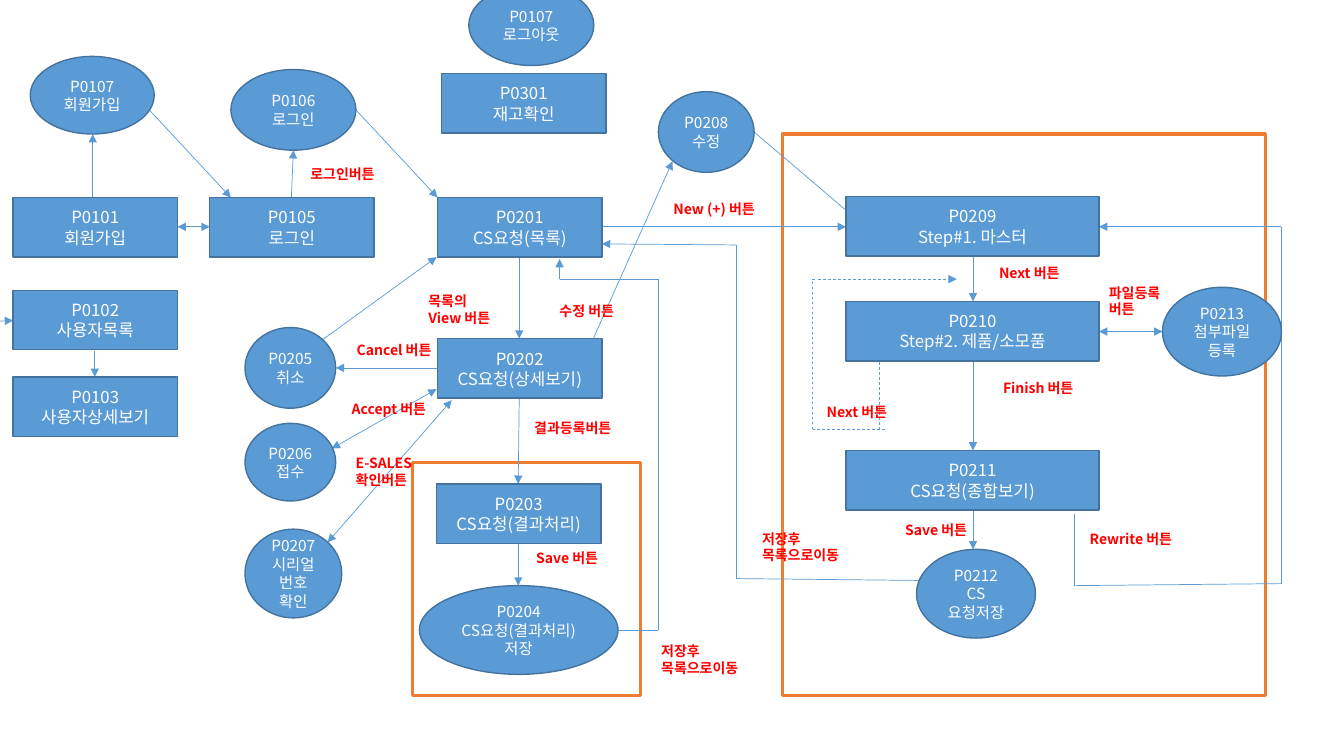
from pptx import Presentation
from pptx.dml.color import RGBColor
from pptx.enum.dml import MSO_LINE as Dash
from pptx.enum.shapes import MSO_CONNECTOR as Link, MSO_SHAPE as Kind
from pptx.enum.text import MSO_ANCHOR as Anchor, MSO_AUTO_SIZE as Auto, PP_ALIGN as Align
from pptx.oxml.ns import qn
from pptx.util import Inches, Pt
from lxml.etree import SubElement as Sub

BLUE = RGBColor(0x5B, 0x9B, 0xD5)
NAVY = RGBColor(0x43, 0x73, 0x9E)
AMBER = RGBColor(0xED, 0x7D, 0x31)
RED = RGBColor(0xFF, 0x00, 0x00)
WHITE = RGBColor(0xFF, 0xFF, 0xFF)
FONT = "Noto Sans CJK KR"

# All lengths count cells of a grid, ten cells to the inch.
CELL = Inches(0.1)
TALL = 5.9     # height of a page box
SLIM = 16.3    # width of a list page box
WIDE = 25.1    # width of a step page box
FORM = 83.9    # left edge of the step pages
MID = 96.5     # axis of the step pages

FRAMES = [(77.6, 13.3, 47.9, 55.7), (40.9, 45.9, 22.6, 23.1)]

# left, top, width, text
PAGES = [
    (1.3, 19.6, SLIM, "P0101\n회원가입"),
    (1.3, 28.8, SLIM, "P0102\n사용자목록"),
    (1.3, 37.4, SLIM, "P0103\n사용자상세보기"),
    (20.8, 19.6, SLIM, "P0105\n로그인"),
    (43.8, 7.3, SLIM, "P0301\n재고확인"),
    (43.4, 19.6, SLIM, "P0201\nCS요청(목록)"),
    (43.4, 33.6, SLIM, "P0202\nCS요청(상세보기)"),
    (43.3, 48, SLIM, "P0203\nCS요청(결과처리)"),
    (FORM, 19.5, WIDE, "P0209\nStep#1. 마스터"),
    (FORM, 29.9, WIDE, "P0210\nStep#2. 제품/소모품"),
    (FORM, 44.7, WIDE, "P0211\nCS요청(종합보기)"),
]

# left, top, width, height, text
ACTS = [
    (3, 5.6, 12.3, 7.7, "P0107\n회원가입"),
    (22.9, 6.9, 12.4, 8, "P0106\n로그인"),
    (46.5, -1.5, 12.4, 8, "P0107\n로그아웃"),
    (65.3, 9.1, 9.5, 8, "P0208\n수정"),
    (24.3, 32.5, 9, 8, "P0205\n취소"),
    (24.3, 42, 9, 7.7, "P0206\n접수"),
    (24.3, 52.5, 9.6, 8.8, "P0207\n시리얼번호\n확인"),
    (41.6, 58.1, 19.7, 8.8, "P0204\nCS요청(결과처리)\n저장"),
    (90.9, 54.5, 11.8, 8.8, "P0212\nCS요청저장"),
    (115.3, 28.5, 11.8, 8.8, "P0213\n첨부파일\n등록"),
]

# left, top, width, text
NOTES = [
    (29.8, 15.9, 9, "로그인버튼"),
    (41.5, 28.5, 8.5, "목록의\nView 버튼"),
    (54.5, 29.5, 8.1, "수정 버튼"),
    (65.8, 19.4, 10.9, "New (+) 버튼"),
    (34.4, 33.4, 9.7, "Cancel 버튼"),
    (33.9, 39.2, 9.9, "Accept 버튼"),
    (34.3, 44.6, 7.6, "E-SALES\n확인버튼"),
    (52, 41.1, 10.4, "결과등록버튼"),
    (52.2, 54, 8.4, "Save 버튼"),
    (88.8, 51.2, 8.4, "Save 버튼"),
    (64.6, 63.3, 10.4, "저장후\n목록으로이동"),
    (74.6, 52.1, 10.4, "저장후\n목록으로이동"),
    (98.1, 25.8, 8.5, "Next 버튼"),
    (81, 39.5, 8.5, "Next 버튼"),
    (98.5, 37.2, 9.2, "Finish 버튼"),
    (107.1, 52.1, 10.4, "Rewrite 버튼"),
    (109, 27.7, 7.6, "파일등록\n버튼"),
]

# Each trail ends in an arrowhead.
ONE_WAY = [
    [(9.2, 19.6), (9.2, 13.3)],
    [(14.8, 10.9), (22.9, 19.6)],
    [(28.9, 19.6), (29.1, 14.9)],
    [(35.3, 10.9), (43.4, 19.6)],
    [(9.4, 34.8), (9.4, 37.4)],
    [(51.5, 25.5), (51.5, 33.6)],
    [(51.5, 39.5), (51.4, 48)],
    [(51.4, 54), (51.4, 58.1)],
    [(59.7, 22.5), (FORM, 22.5)],
    [(32, 33.7), (43.3, 25.5)],
    [(43.4, 36.5), (33.3, 36.5)],
    [(58.8, 33.7), (66.7, 16)],
    [(74.8, 13.1), (85.6, 22.3)],
    [(MID, 25.5), (MID, 29.9)],
    [(MID, 35.9), (MID, 44.7)],
    [(MID, 50.6), (MID, 54.5)],
    [(61.3, 62.5), (65.3, 62.5), (65.3, 27.7), (55.5, 27.7), (55.5, 25.7)],
    [(92.6, 57.6), (73, 57.4), (73, 24.3), (59.7, 24.2)],
    [(106.6, 51), (106.6, 58.1), (127.1, 57.9), (127.1, 22.5), (109, 22.5)],
]
TWO_WAY = [
    [(20.8, 22.5), (17.6, 22.5)],
    [(1.3, 31.8), (-3.9, 32)],
    [(43.3, 38.6), (32.9, 44.5)],
    [(44.8, 39.7), (32.5, 53.8)],
    [(109, 32.9), (115.3, 32.9)],
]
STUB = [(87.2, 35.9), (87.2, 42.6)]
LOOP = [(87.8, 42.6), (80.6, 42.6), (80.6, 27.7), (94.9, 27.7)]


def grid(*cells):
    """Turn grid cells into lengths."""
    return [round(n * CELL) for n in cells]


def write(frame, text, size, color, bold=False, align=Align.LEFT):
    """Fill a text frame and format its runs."""
    frame.text = text
    frame.word_wrap = True
    for para in frame.paragraphs:
        para.alignment = align
        for run in para.runs:
            font = run.font
            font.size, font.bold, font.name = Pt(size), bold, FONT
            font.color.rgb = color
            Sub(font._element, qn("a:ea"), typeface=FONT)


def shape(slide, kind, box, edge, width):
    """Add an unfilled preset shape with an outline."""
    item = slide.shapes.add_shape(kind, *grid(*box))
    item.shadow.inherit = False
    item.fill.background()
    item.line.color.rgb, item.line.width = edge, Pt(width)
    return item


def node(slide, kind, box, text, size):
    """Add a blue shape with centred white text."""
    item = shape(slide, kind, box, NAVY, 1)
    item.fill.solid()
    item.fill.fore_color.rgb = BLUE
    item.text_frame.vertical_anchor = Anchor.MIDDLE
    write(item.text_frame, text, size, WHITE, align=Align.CENTER)


def note(slide, left, top, width, text):
    """Add a red button label."""
    high = 2.7 + 1.7 * text.count("\n")
    frame = slide.shapes.add_textbox(*grid(left, top, width, high)).text_frame
    write(frame, text, 10, RED, bold=True)
    frame.auto_size = Auto.SHAPE_TO_FIT_TEXT


def trail(slide, points, head=False, tail=True, dash=False):
    """Join points by lines, with arrowheads at the ends asked for."""
    legs = list(zip(points, points[1:]))
    for num, (start, end) in enumerate(legs):
        leg = slide.shapes.add_connector(Link.STRAIGHT, *grid(*start, *end))
        leg.line.color.rgb, leg.line.width = BLUE, Pt(0.5)
        if dash:
            leg.line.dash_style = Dash.DASH
        pen = leg.line._get_or_add_ln()
        if head and num == 0:
            Sub(pen, qn("a:headEnd"), type="triangle")
        if tail and num == len(legs) - 1:
            Sub(pen, qn("a:tailEnd"), type="triangle")
        Sub(leg._element.spPr, qn("a:effectLst"))


def main():
    """Build the page flow and save it."""
    deck = Presentation()
    deck.slide_width, deck.slide_height = Inches(13.33), Inches(7.5)
    slide = deck.slides.add_slide(deck.slide_layouts[6])
    for box in FRAMES:
        shape(slide, Kind.RECTANGLE, box, AMBER, 2.25)
    for points in ONE_WAY:
        trail(slide, points)
    for points in TWO_WAY:
        trail(slide, points, head=True)
    trail(slide, STUB, tail=False, dash=True)
    trail(slide, LOOP, dash=True)
    for left, top, width, text in PAGES:
        node(slide, Kind.RECTANGLE, (left, top, width, TALL), text, 12)
    for *box, text in ACTS:
        node(slide, Kind.OVAL, box, text, 11)
    for label in NOTES:
        note(slide, *label)
    deck.save("out.pptx")


main()
